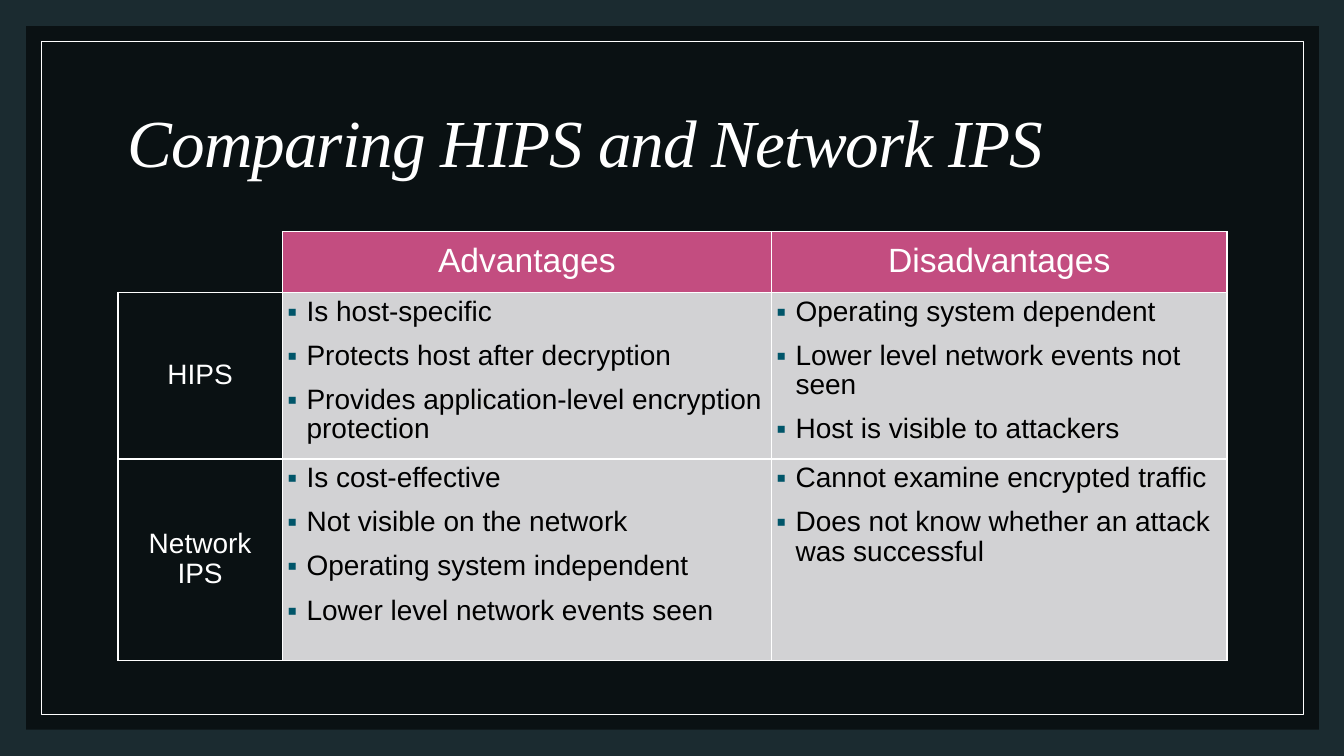
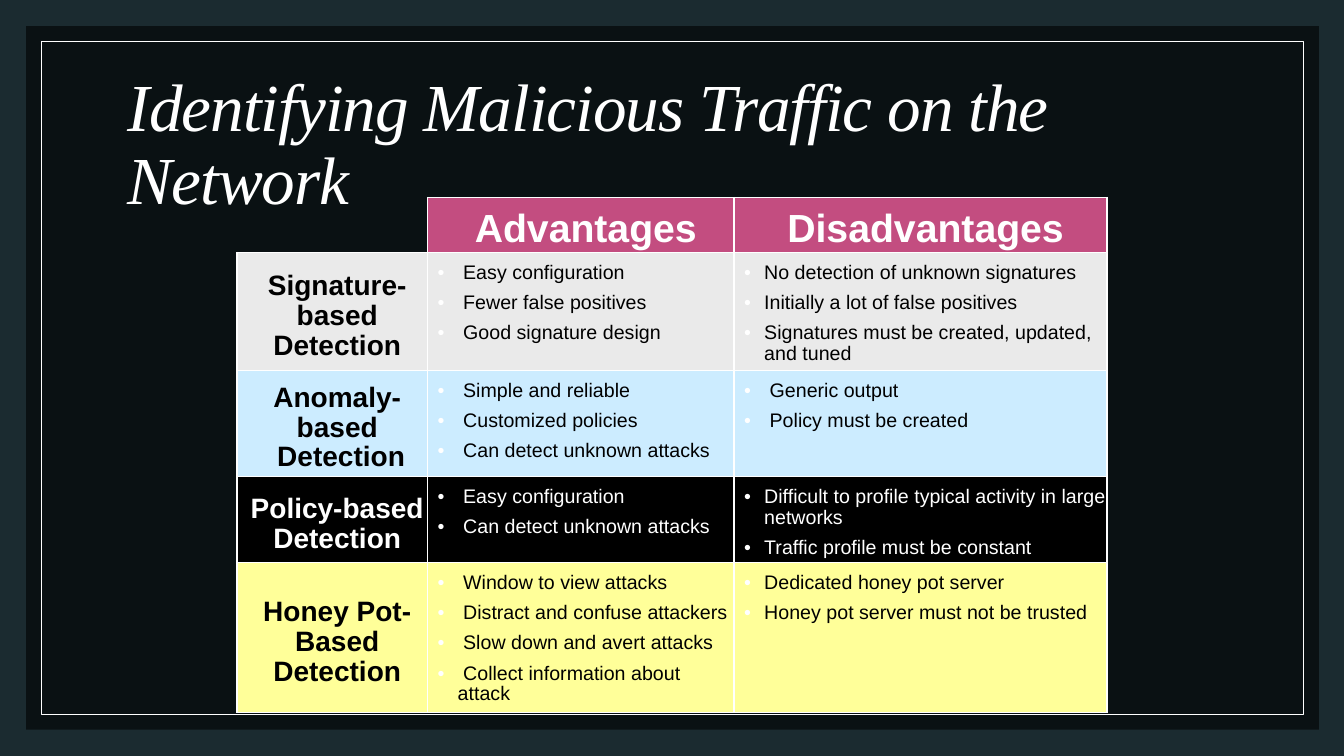
from lxml import etree
from pptx import Presentation
from pptx.dml.color import RGBColor
from pptx.enum.shapes import MSO_SHAPE as Shape
from pptx.enum.text import MSO_ANCHOR as Anchor, PP_ALIGN as Align
from pptx.oxml.ns import qn
from pptx.util import Inches, Pt

WHITE, BLACK = "FFFFFF", "000000"
BACKDROP, HEADER_PINK, PANEL_GREY = "1B2B30", "C34D80", "D2D2D4"
PANEL_OPACITY = 60
PANEL_BOX = (0.26, 0.26, 12.82, 6.98)
OUTLINE_BOX = (0.41, 0.41, 12.52, 6.68)
TITLE_BOX = (1.17, 0.7, 11, 1.5)
HEADINGS = ("Advantages", "Disadvantages")

HOST_STYLE = {
    "header": {"size": Pt(24), "bold": False},
    "label": {"size": Pt(20), "bold": False},
    "item": {"size": Pt(20), "bold": False},
    "margins": (0.05, 0.05, 0.05, 0.05),
    "bullet": ("▪", "005569", 0.19),
    "gap": 10.3,
}
DETECTION_STYLE = {
    "header": {"size": Pt(28), "bold": True},
    "label": {"size": Pt(20), "bold": True},
    "item": {"size": Pt(14), "bold": False},
    "margins": (0.1, 0.1, 0, 0),
    "bullet": ("•", WHITE, 0.2),
    "gap": 6.6,
}

# Each row: label, label fill, label colour, item fill, item colour, one list per heading
HOST_ROWS = [
    ("HIPS", None, WHITE, PANEL_GREY, BLACK,
     ["Is host-specific", "Protects host after decryption",
      "Provides application-level encryption protection"],
     ["Operating system dependent", "Lower level network events not seen",
      "Host is visible to attackers"]),
    ("Network IPS", None, WHITE, PANEL_GREY, BLACK,
     ["Is cost-effective", "Not visible on the network",
      "Operating system independent", "Lower level network events seen"],
     ["Cannot examine encrypted traffic",
      "Does not know whether an attack was successful"]),
]
DETECTION_ROWS = [
    ("Signature-based\nDetection", "EAEAEA", BLACK, "EAEAEA", BLACK,
     [" Easy configuration", " Fewer false positives", " Good signature design"],
     ["No detection of unknown signatures", "Initially a lot of false positives",
      "Signatures must be created, updated, and tuned"]),
    ("Anomaly-based\n Detection", "CCECFF", BLACK, "CCECFF", BLACK,
     [" Simple and reliable", " Customized policies", " Can detect unknown attacks"],
     [" Generic output", " Policy must be created"]),
    ("Policy-based\nDetection", BLACK, WHITE, BLACK, WHITE,
     [" Easy configuration", " Can detect unknown attacks"],
     ["Difficult to profile typical activity in large networks",
      "Traffic profile must be constant"]),
    ("Honey Pot-Based\nDetection", "FFFF99", BLACK, "FFFF99", BLACK,
     [" Window to view attacks", " Distract and confuse attackers",
      " Slow down and avert attacks", " Collect information about attack"],
     ["Dedicated honey pot server", "Honey pot server must not be trusted"]),
]


def set_color(color_format, value):
    color_format.rgb = RGBColor.from_string(value)


def set_fill(fill, value):
    """Fill solidly, or leave clear when value is None."""
    if value is None:
        fill.background()
    else:
        fill.solid()
        set_color(fill.fore_color, value)


def set_values(target, values):
    for name, value in values.items():
        setattr(target, name, value)


def format_runs(paragraph, color, values):
    for run in paragraph.runs:
        set_values(run.font, values)
        set_color(run.font.color, color)


def add_child(parent, tag, **attributes):
    return etree.SubElement(parent, qn(tag), attributes)


def add_panel(slide, box, fill=None, line=None):
    shape = slide.shapes.add_shape(Shape.RECTANGLE, *map(Inches, box))
    shape.shadow.inherit = False
    set_fill(shape.fill, fill)
    set_fill(shape.line.fill, line)
    if line:
        shape.line.width = Pt(0.5)
    return shape


def add_frame(slide):
    """Draw the translucent panel and thin outline behind every slide."""
    panel = add_panel(slide, PANEL_BOX, fill=BLACK)
    color = panel.fill._xPr.find(qn("a:solidFill"))[0]
    add_child(color, "a:alpha", val=str(PANEL_OPACITY * 1000))
    add_panel(slide, OUTLINE_BOX, line=WHITE)


def add_title(slide, text):
    frame = slide.shapes.add_textbox(*map(Inches, TITLE_BOX)).text_frame
    set_values(frame, {"word_wrap": True, "vertical_anchor": Anchor.MIDDLE})
    paragraph = frame.paragraphs[0]
    set_values(paragraph, {"text": text, "line_spacing": 0.9})
    format_runs(paragraph, WHITE,
                {"name": "Times New Roman", "size": Pt(48), "italic": True})
    paragraph.runs[0]._r.get_or_add_rPr().set("spc", "-70")


def add_bullet(paragraph, character, color, indent):
    properties = paragraph._p.get_or_add_pPr()
    properties.set("marL", str(Inches(indent)))
    properties.set("indent", str(-Inches(indent)))
    add_child(add_child(properties, "a:buClr"), "a:srgbClr", val=color)
    add_child(properties, "a:buFont", typeface="Arial")
    add_child(properties, "a:buChar", char=character)


def style_cell(cell, fill, margins, edges="LRTB"):
    """Set borders on the named edges, then fill and margins."""
    properties = cell._tc.get_or_add_tcPr()
    for edge in "LRTB":
        line = add_child(properties, f"a:ln{edge}", w=str(Pt(1)))
        if edge in edges:
            add_child(add_child(line, "a:solidFill"), "a:srgbClr", val=WHITE)
        else:
            add_child(line, "a:noFill")
    set_fill(cell.fill, fill)
    sides = ("margin_left", "margin_top", "margin_right", "margin_bottom")
    set_values(cell, dict(zip(sides, map(Inches, margins))))


def write_centered(cell, text, color, font):
    cell.vertical_anchor = Anchor.MIDDLE
    paragraph = cell.text_frame.paragraphs[0]
    set_values(paragraph, {"text": text, "alignment": Align.CENTER, "line_spacing": 0.95})
    format_runs(paragraph, color, {"name": "Arial", **font})


def write_items(cell, items, color, style):
    frame = cell.text_frame
    for index, item in enumerate(items):
        paragraph = frame.add_paragraph() if index else frame.paragraphs[0]
        add_bullet(paragraph, *style["bullet"])
        set_values(paragraph, {"text": item, "line_spacing": 0.95})
        if index:
            paragraph.space_before = Pt(style["gap"])
        format_runs(paragraph, color, {"name": "Arial", **style["item"]})


def add_comparison(slide, left, top, widths, heights, rows, style):
    """Place a table of advantages and disadvantages with its corner at left, top."""
    table = slide.shapes.add_table(
        len(heights), len(widths), Inches(left), Inches(top),
        Inches(sum(widths)), Inches(sum(heights))).table
    set_values(table, {"first_row": False, "horz_banding": False})
    for column, width in zip(table.columns, widths):
        column.width = Inches(width)
    for row, height in zip(table.rows, heights):
        row.height = Inches(height)

    margins = style["margins"]
    style_cell(table.cell(0, 0), None, margins, edges="RB")
    for column, heading in enumerate(HEADINGS, 1):
        cell = table.cell(0, column)
        style_cell(cell, HEADER_PINK, margins)
        write_centered(cell, heading, WHITE, style["header"])
    for row, (label, label_fill, label_color, fill, color, *lists) in enumerate(rows, 1):
        cell = table.cell(row, 0)
        style_cell(cell, label_fill, margins)
        write_centered(cell, label, label_color, style["label"])
        for column, items in enumerate(lists, 1):
            cell = table.cell(row, column)
            style_cell(cell, fill, margins)
            write_items(cell, items, color, style)


def add_comparison_slide(presentation, title, **table):
    slide = presentation.slides.add_slide(presentation.slide_layouts[6])
    add_frame(slide)
    add_title(slide, title)
    add_comparison(slide, **table)


def main():
    presentation = Presentation()
    set_values(presentation, {"slide_width": Inches(13.33), "slide_height": Inches(7.5)})
    set_fill(presentation.slide_master.background.fill, BACKDROP)
    add_comparison_slide(
        presentation, "Comparing HIPS and Network IPS",
        left=1.17, top=2.3, widths=(1.63, 4.85, 4.52), heights=(0.6, 1.55, 2),
        rows=HOST_ROWS, style=HOST_STYLE)
    add_comparison_slide(
        presentation, "Identifying Malicious Traffic on the Network",
        left=2.35, top=1.96, widths=(1.89, 3.04, 3.7),
        heights=(0.53, 1.13, 0.98, 0.83, 1.42),
        rows=DETECTION_ROWS, style=DETECTION_STYLE)
    presentation.save("out.pptx")


if __name__ == "__main__":
    main()
